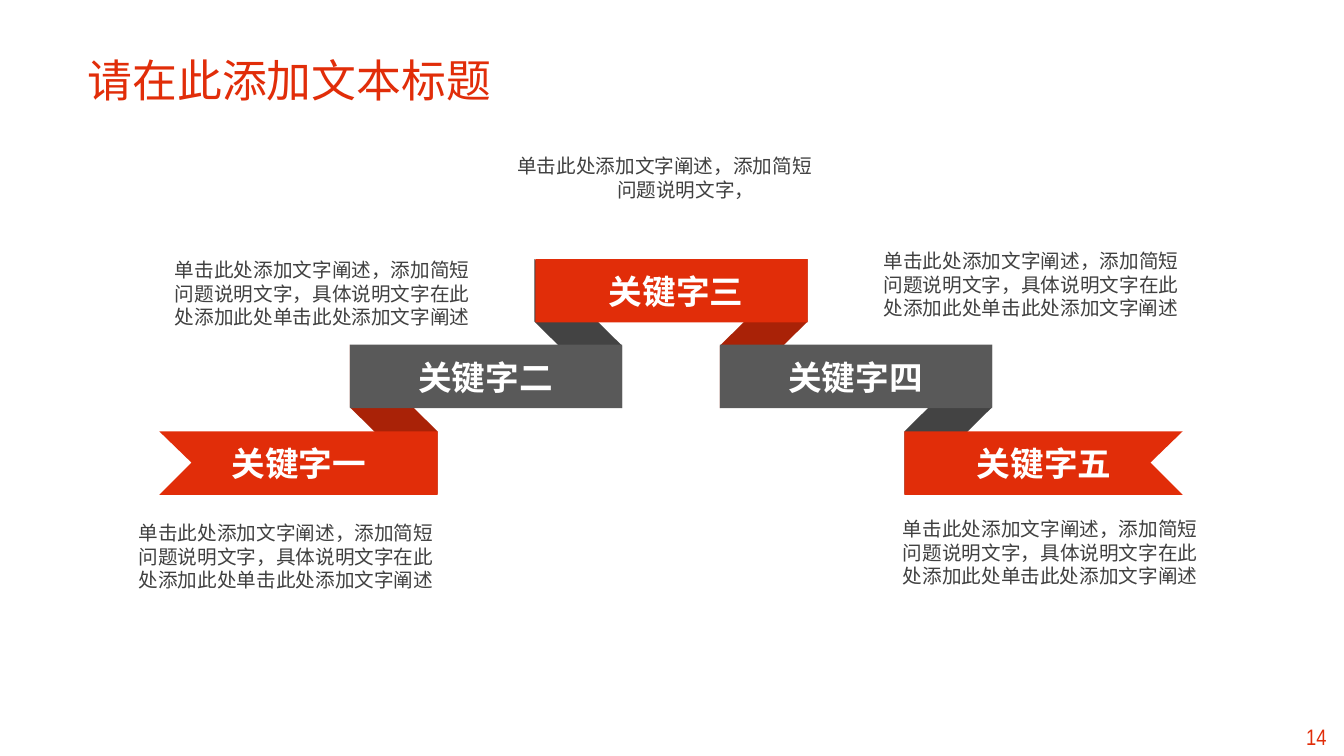
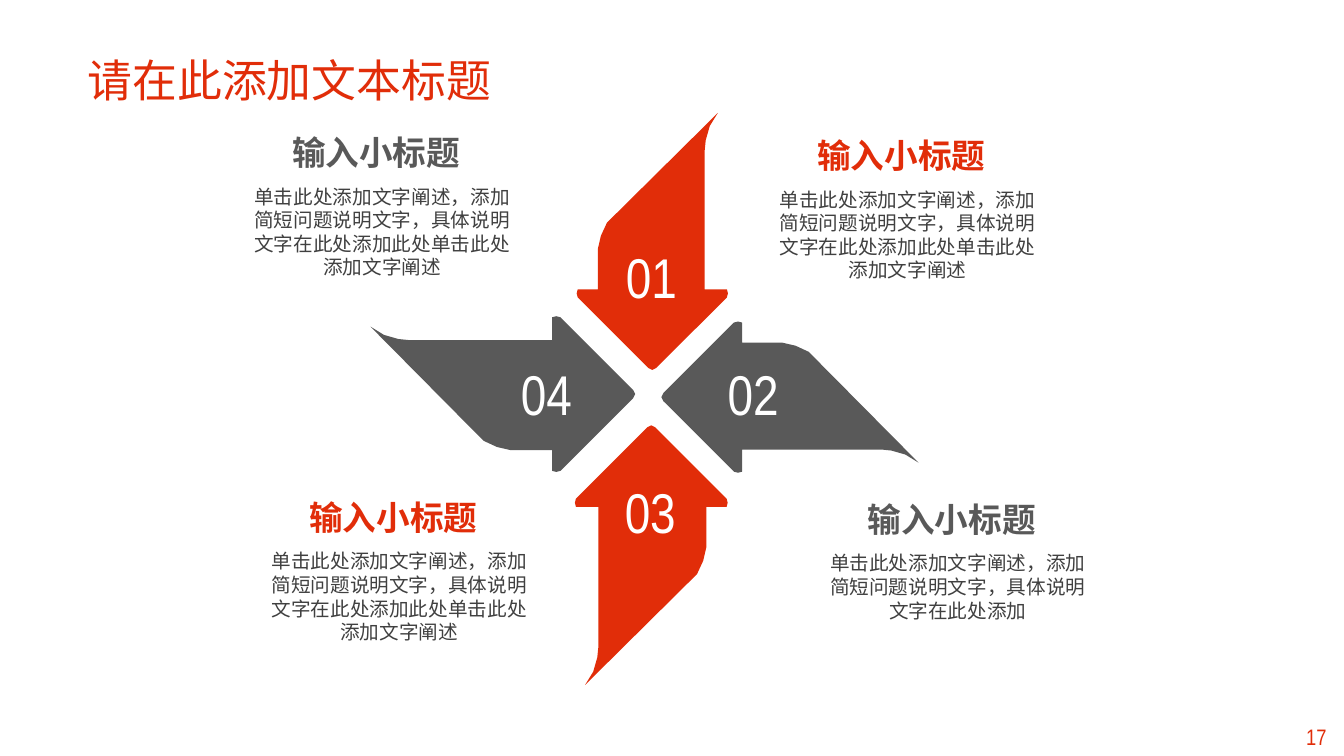
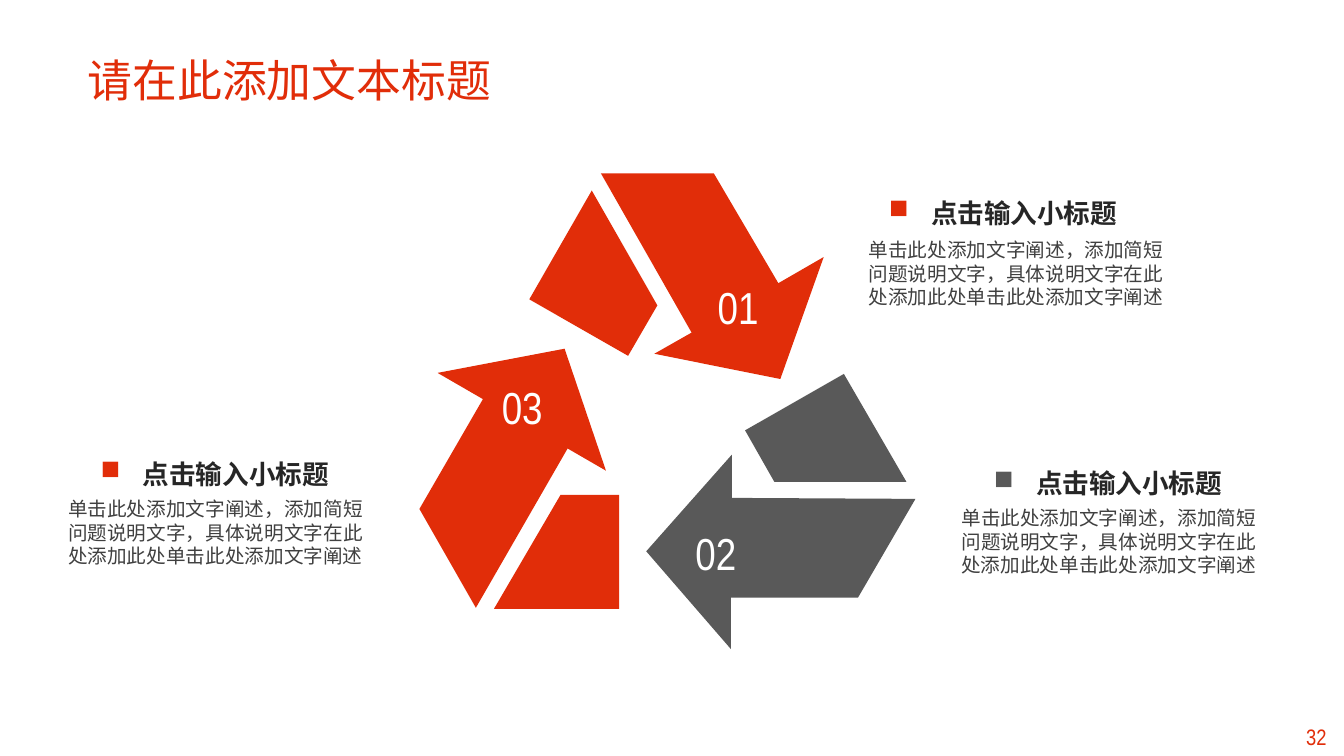
from lxml.etree import SubElement as Sub
from pptx import Presentation
from pptx.dml.color import RGBColor as Rgb
from pptx.enum.shapes import MSO_SHAPE as Kind
from pptx.enum.text import PP_ALIGN as Align
from pptx.oxml.ns import qn
from pptx.util import Inches, Pt

COLORS = {
    "red": "E12D09",
    "gray": "595959",
    "rust": "A92207",
    "coal": "434343",
    "body": "404040",
    "ink": "262626",
    "white": "FFFFFF",
}
CJK = "Noto Sans CJK SC"
NARROW = "Arial Narrow"
LATIN = "Calibri"
TITLE = "请在此添加文本标题"
LEAD = "单击此处添加文字阐述，添加简短问题说明文字，"
MID = LEAD + "具体说明文字在此处添加"
FULL = MID + "此处单击此处添加文字阐述"
BLADE = [
    (0.02, -0.04), (0, 0), (0.02, 0.04),
    (0.72, 0.74), (0.76, 0.75), (0.8, 0.74), (0.8, 0.52),
    (2.18, 0.52), (2.28, 0.53), (2.42, 0.57), (2.55, 0.65),
    (1.5, -0.41), (1.46, -0.45), (1.33, -0.51), (1.2, -0.54),
    (0.8, -0.54), (0.8, -0.74), (0.76, -0.75), (0.72, -0.74),
]


class Deck:
    def __init__(self):
        self.prs = Presentation()
        self.prs.slide_width = Inches(13.33)
        self.prs.slide_height = Inches(7.5)
        self.slide = None

    def page(self, number):
        self.slide = self.prs.slides.add_slide(self.prs.slide_layouts[6])
        self.text(12.78, 7.13, 0.55, 0.37, number, 16, "red", NARROW)

    def title(self):
        self.text(0.77, 0.47, 5.11, 0.64, TITLE, 32, "red", align=Align.LEFT)

    def paint(self, shape, color):
        shape.shadow.inherit = False
        shape.fill.solid()
        shape.fill.fore_color.rgb = Rgb.from_string(COLORS[color])
        shape.line.fill.background()

    def rect(self, x, y, w, h, color):
        shape = self.slide.shapes.add_shape(
            Kind.RECTANGLE, Inches(x), Inches(y), Inches(w), Inches(h))
        self.paint(shape, color)

    def free(self, points, color):
        spots = [(Inches(x), Inches(y)) for x, y in points]
        pen = self.slide.shapes.build_freeform(*spots[0])
        pen.add_line_segments(spots[1:], close=True)
        self.paint(pen.convert_to_shape(), color)

    def text(self, x, y, w, h, words, size, color, font=CJK, align=Align.CENTER,
             bold=False, inset=None, pitch=1.2, indent=None, bullet=None):
        box = self.slide.shapes.add_textbox(
            Inches(x), Inches(y), Inches(w), Inches(h))
        frame = box.text_frame
        frame.word_wrap = True
        if inset is not None:
            frame.margin_left = frame.margin_right = Inches(inset)
            frame.margin_top = frame.margin_bottom = 0
        para = frame.paragraphs[0]
        para.text = words
        para.alignment = align
        if font != NARROW:
            para.line_spacing = Pt(size * pitch)
        if indent:
            self.indent(para, *indent)
        if bullet:
            self.bullet(para, bullet)
        para.font.size = Pt(size)
        para.font.bold = bold
        para.font.name = font
        para.font.color.rgb = Rgb.from_string(COLORS[color])
        if font != NARROW:
            Sub(para._p.pPr.find(qn("a:defRPr")), qn("a:ea"), typeface=CJK)

    def indent(self, para, left, first):
        props = para._p.get_or_add_pPr()
        props.set("marL", str(Inches(left)))
        props.set("indent", str(Inches(first)))

    def bullet(self, para, color):
        props = para._p.get_or_add_pPr()
        Sub(Sub(props, qn("a:buClr")), qn("a:srgbClr"), val=COLORS[color])
        Sub(props, qn("a:buFont"), typeface="Wingdings", charset="2")
        Sub(props, qn("a:buChar"), char="n")

    def body(self, x, y, words=FULL, w=3.4, align=Align.RIGHT, indent=None):
        self.text(x, y, w, 0.82, words, 14, "body", align=align, inset=0.17,
                  indent=indent)

    def head(self, x, y, words, size, color, **style):
        self.text(x, y, 2.94, 0.42, words, size, color, LATIN,
                  bold=True, inset=0.17, pitch=1.43, **style)

    def digits(self, x, y, h, words, size):
        self.text(x, y, 0.94, h, words, size, "white", NARROW)


def ribbon(deck):
    deck.page("14")
    for x, y, side, color in (
        (3.47, 3.42, 1, "rust"),
        (9.84, 3.42, -1, "coal"),
        (8.01, 2.57, -1, "rust"),
        (5.3, 2.57, 1, "coal"),
    ):
        end = x + side * 0.87
        deck.free([(x, y), (x, y + 0.62), (end, y + 1.48), (end, y + 0.86)], color)
    for x, side in ((1.58, 1), (11.73, -1)):
        end = x + side * 2.76
        deck.free([(x, 4.28), (end, 4.28), (end, 4.91), (x, 4.91),
                   (x + side * 0.32, 4.59)], "red")
    for x, y, color in ((3.47, 3.42, "gray"), (7.14, 3.42, "gray"),
                        (5.31, 2.57, "red")):
        deck.rect(x, y, 2.7, 0.63, color)
    for mark, x, y, left, top in (
        ("一", 2.02, 4.34, 1.07, 5.17),
        ("二", 3.87, 3.49, 1.43, 2.56),
        ("三", 5.76, 2.64, 4.84, 1.53),
        ("四", 7.54, 3.49, 8.46, 2.47),
        ("五", 9.41, 4.34, 8.65, 5.13),
    ):
        deck.text(x, y, 1.89, 0.5, "关键字" + mark, 24, "white", bold=True)
        if mark == "三":
            deck.body(left, top, LEAD, align=Align.LEFT, indent=(1.11, -0.99))
        else:
            deck.body(left, top)
    deck.title()


def pinwheel(deck):
    deck.page("17")
    for number, nose, tail, size, color, spot, block, words in (
        ("01", (6.47, 3.67), (0, -1), 1, "red", (5.99, 2.36), (7.47, 1.26), FULL),
        ("02", (6.56, 3.94), (1, 0), 1, "gray", (7, 3.52), (7.97, 4.87), MID),
        ("03", (6.46, 4.22), (0, 1), 1.01, "red", (5.98, 4.69), (2.43, 4.85), FULL),
        ("04", (6.3, 3.91), (-1, 0), 1.03, "gray", (4.95, 3.52), (2.26, 1.23), FULL),
    ):
        dx, dy = tail
        deck.free([(nose[0] + size * (x * dx - y * dy),
                    nose[1] + size * (x * dy + y * dx)) for x, y in BLADE], color)
        deck.digits(*spot, 0.77, number, 40)
        x, y = block
        deck.head(x, y, "输入小标题", 24, color)
        deck.body(x + 0.07, y + 0.6, words, 2.92, Align.CENTER)
    deck.title()


def cycle(deck):
    deck.page("32")
    for color, arrow, stub, head, body in (
        ("red",
         [(7.72, 2.81), (7.08, 1.72), (5.96, 1.72), (6.86, 3.3), (6.49, 3.51),
          (7.74, 3.76), (8.17, 2.55)],
         [(5.87, 1.89), (5.25, 2.97), (6.23, 3.53), (6.52, 3.03)],
         (8.31, 1.89), (8.31, 2.36)),
        ("gray",
         [(9.08, 4.95), (7.26, 4.94), (7.26, 4.51), (6.41, 5.47), (7.25, 6.44),
          (7.25, 5.93), (8.51, 5.93)],
         [(8.99, 4.78), (8.37, 3.71), (7.39, 4.27), (7.68, 4.78)],
         (9.35, 4.57), (9.23, 5.02)),
        ("red",
         [(6.01, 4.67), (5.6, 3.46), (4.34, 3.7), (4.79, 3.96), (4.16, 5.05),
          (4.72, 6.03), (5.63, 4.45)],
         [(4.9, 6.04), (6.14, 6.04), (6.14, 4.91), (5.56, 4.91)],
         (0.49, 4.48), (0.37, 4.93)),
    ):
        deck.free(arrow, color)
        deck.free(stub, color)
        deck.head(*head, "点击输入小标题", 19, "ink", align=Align.RIGHT,
                  indent=(0.42, -0.42), bullet=color)
        deck.body(*body)
    for number, x, y in (("01", 6.85, 2.73), ("02", 6.63, 5.17), ("03", 4.71, 3.72)):
        deck.digits(x, y, 0.64, number, 32)
    deck.title()


def main():
    deck = Deck()
    ribbon(deck)
    pinwheel(deck)
    cycle(deck)
    deck.prs.save("out.pptx")


if __name__ == "__main__":
    main()
